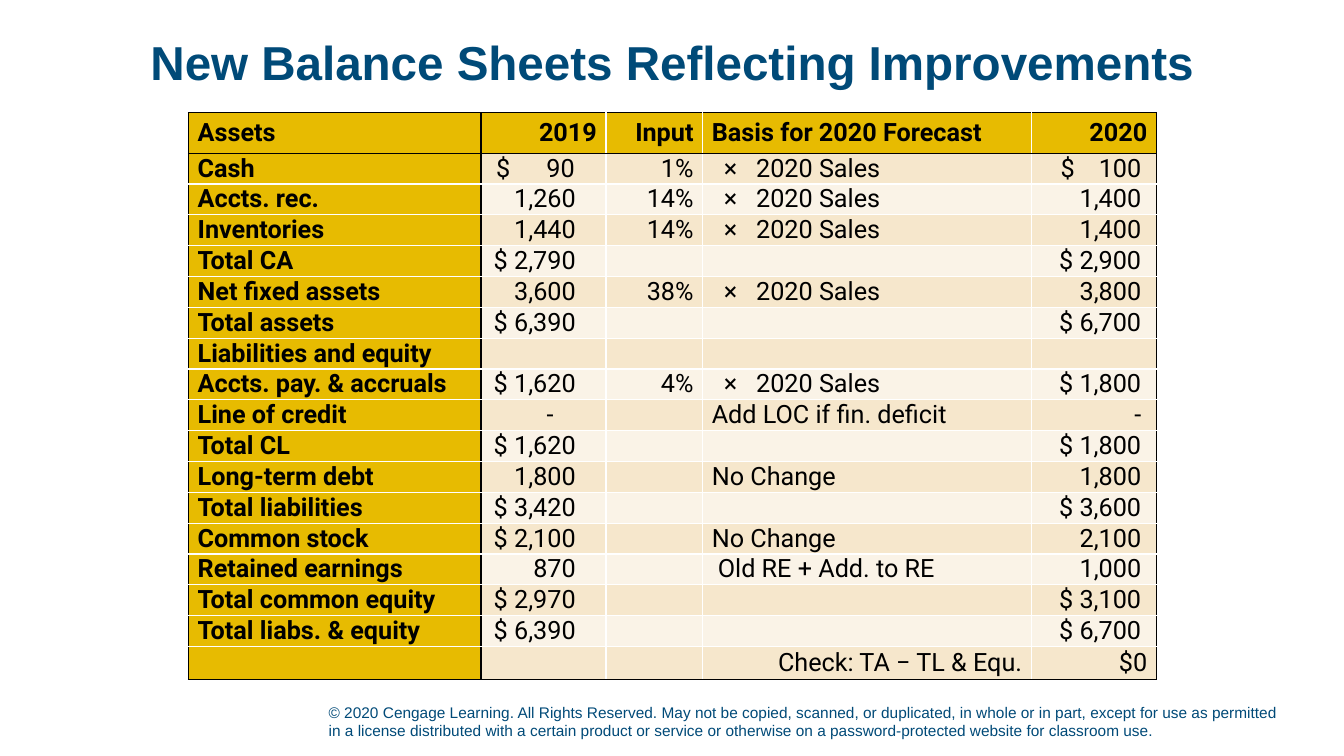
import pptx
import pptx.util
import pptx.dml.color
import pptx.enum.text
import pptx.oxml
import pptx.oxml.ns
import lxml.etree

RGB = pptx.dml.color.RGBColor
NAVY = RGB(0x00, 0x4A, 0x78)
GOLD = RGB(0xE7, 0xBB, 0x01)
SAND = RGB(0xF6, 0xE7, 0xCC)
CREAM = RGB(0xFA, 0xF3, 0xE7)
BLACK = RGB(0x00, 0x00, 0x00)
WHITE = RGB(0xFF, 0xFF, 0xFF)
ALIGN = pptx.enum.text.PP_ALIGN
ANCHOR = pptx.enum.text.MSO_ANCHOR
Pt = pptx.util.Pt
tag = pptx.oxml.ns.qn

deck = pptx.Presentation()
deck.slide_width = pptx.util.Inches(13.33)
deck.slide_height = pptx.util.Inches(7.5)
slide = deck.slides.add_slide(deck.slide_layouts[6])


def wide(share):
    return int(deck.slide_width * share / 100)


def high(share):
    return int(deck.slide_height * share / 100)


labels = [
    ("New Balance Sheets Reflecting Improvements", 6.9, 2, 86.27, 13.33,
     34, True, ALIGN.CENTER, ANCHOR.MIDDLE, 0.9),
    ("© 2020 Cengage Learning. All Rights Reserved. May not be copied, scanned, "
     "or duplicated, in whole or in part, except for use as permitted in a license "
     "distributed with a certain product or service or otherwise on a "
     "password-protected website for classroom use.", 23.71, 91.87, 72.24, 6.67,
     11, False, ALIGN.LEFT, ANCHOR.BOTTOM, 1.0),
]
for words, left, top, width, height, size, bold, align, anchor, space in labels:
    box = slide.shapes.add_textbox(wide(left), high(top), wide(width), high(height))
    frame = box.text_frame
    frame.word_wrap = True
    frame.vertical_anchor = anchor
    para = frame.paragraphs[0]
    para.alignment = align
    para.line_spacing = space
    run = para.add_run()
    run.text = words
    run.font.name = "Arial"
    run.font.size = Pt(size)
    run.font.bold = bold
    run.font.color.rgb = NAVY

SALES = "×\t2020 Sales"
rows = [
    ("Assets", "2019", "Input", "Basis for 2020 Forecast", "2020"),
    ("Cash", "$\t90", "1%", SALES, "$\t100"),
    ("Accts. rec.", "1,260", "14%", SALES, "1,400"),
    ("Inventories", "1,440", "14%", SALES, "1,400"),
    ("Total CA", "$ 2,790", "", "", "$ 2,900"),
    ("Net fixed assets", "3,600", "38%", SALES, "3,800"),
    ("Total assets", "$ 6,390", "", "", "$ 6,700"),
    ("Liabilities and equity", "", "", "", ""),
    ("Accts. pay. & accruals", "$ 1,620", "4%", SALES, "$ 1,800"),
    ("Line of credit", "-", "", "Add LOC if fin. deficit", "-"),
    ("Total CL", "$ 1,620", "", "", "$ 1,800"),
    ("Long-term debt", "1,800", "", "No Change", "1,800"),
    ("Total liabilities", "$ 3,420", "", "", "$ 3,600"),
    ("Common stock", "$ 2,100", "", "No Change", "2,100"),
    ("Retained earnings", "870", "", "Old RE + Add. to RE", "1,000"),
    ("Total common equity", "$ 2,970", "", "", "$ 3,100"),
    ("Total liabs. & equity", "$ 6,390", "", "", "$ 6,700"),
    ("", "", "", "Check: TA − TL & Equ.", "$0"),
]
last = len(rows) - 1
widths = [21.76, 9.3, 7.2, 24.46, 9.3]
heights = [5.33] + [4.08] * (last - 1) + [4.4]
PAD = 0.68
ends = {1: 2.25, 4: 1.13}
tabs = {1: (1.13, 5.85), 3: (1.58, 2.4), 4: (2.18, 6)}

grid = slide.shapes.add_table(len(rows), len(widths), wide(14.03), high(14.93),
                              wide(sum(widths)), high(sum(heights))).table
for col, width in enumerate(widths):
    grid.columns[col].width = wide(width)
for row, height in enumerate(heights):
    grid.rows[row].height = high(height)

for row, words in enumerate(rows):
    for col, text in enumerate(words):
        cell = grid.cell(row, col)
        head = row == 0 or col == 0
        body = 0 < row < last
        props = cell._tc.get_or_add_tcPr()
        sides = {"L": col < 2, "R": col in (0, 4), "T": row < 2, "B": row in (0, last)}
        for side, dark in sides.items():
            line = lxml.etree.SubElement(props, tag("a:ln" + side), w=str(Pt(1)))
            fill = lxml.etree.SubElement(line, tag("a:solidFill"))
            lxml.etree.SubElement(fill, tag("a:srgbClr"), val=str(BLACK if dark else WHITE))
        cell.fill.solid()
        cell.fill.fore_color.rgb = GOLD if head else SAND if row % 2 else CREAM
        cell.vertical_anchor = ANCHOR.MIDDLE
        cell.margin_top = cell.margin_bottom = 0

        para = cell.text_frame.paragraphs[0]
        start, end = PAD, PAD
        right = col in (1, 2, 4) or (row == last and col == 3)
        if "\t" in text:
            right = False
            start, stop = tabs[col]
            stops = lxml.etree.SubElement(para._p.get_or_add_pPr(), tag("a:tabLst"))
            lxml.etree.SubElement(stops, tag("a:tab"), pos=str(wide(stop)),
                                  algn="l" if col == 3 else "r")
        elif body and col in ends:
            end = 3.9 if col == 1 and text == "-" else ends[col]
        elif text.startswith("Old RE"):
            start = 1.13
        cell.margin_left = wide(start)
        cell.margin_right = wide(end)
        para.alignment = ALIGN.RIGHT if right else ALIGN.LEFT
        if not text:
            lxml.etree.SubElement(para._p, tag("a:endParaRPr"), sz="1200")
            continue
        run = para.add_run()
        run.text = text
        run.font.name = "Roboto"
        run.font.size = Pt(18)
        run.font.bold = head
        run.font.color.rgb = BLACK

deck.save("out.pptx")
